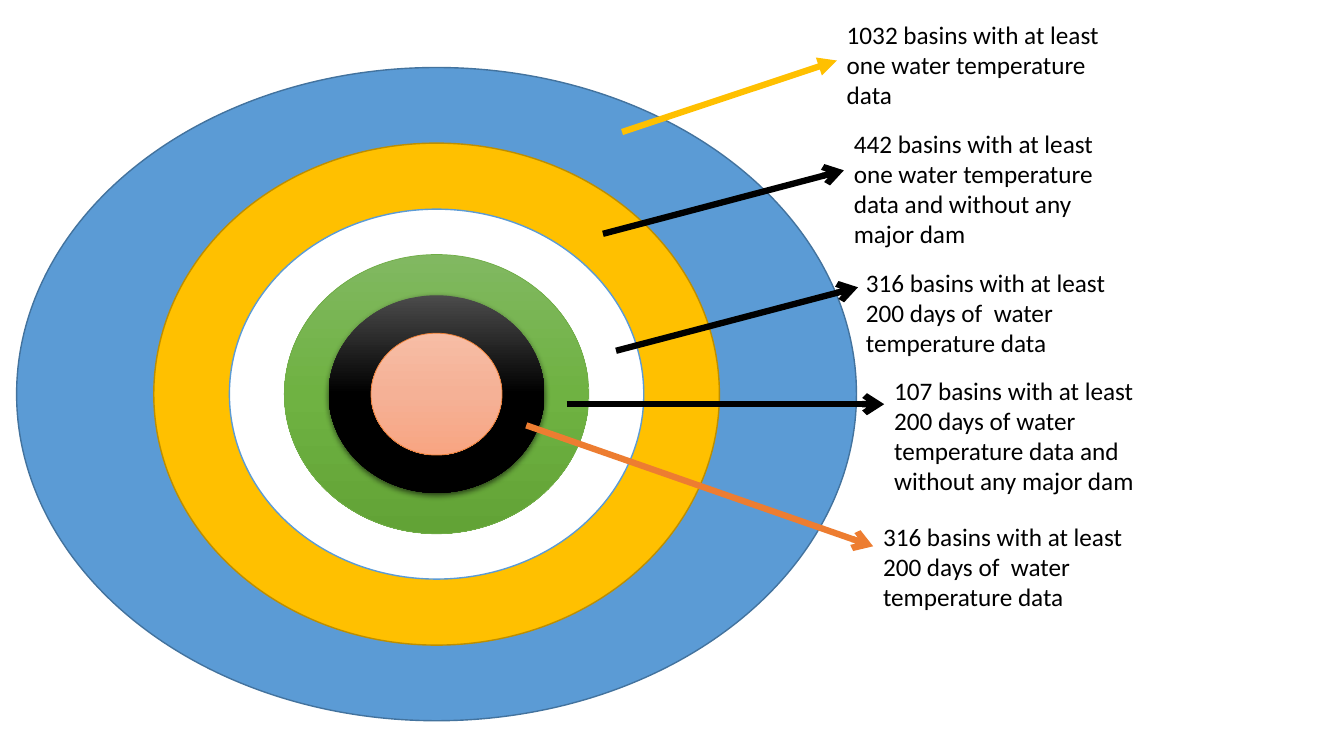
from copy import deepcopy
from dataclasses import dataclass

from lxml.etree import SubElement
from pptx import Presentation
from pptx.dml.color import RGBColor
from pptx.enum.shapes import MSO_CONNECTOR as CONNECTOR, MSO_SHAPE as SHAPE
from pptx.enum.text import MSO_AUTO_SIZE as AUTO_SIZE
from pptx.oxml.ns import qn
from pptx.util import Inches, Pt


@dataclass(frozen=True)
class Theme:
    font: str = "Calibri"
    label_size: int = 18
    arrow_width: float = 4.5
    black: str = "000000"
    white: str = "FFFFFF"
    blue: str = "5B9BD5"
    dark_blue: str = "43739E"
    gold: str = "FFC000"
    dark_gold: str = "BD8E00"
    green: str = "70AD47"
    orange: str = "ED7D31"
    green_fade: tuple = ("81B861", "6FB242", "62A336")
    black_fade: tuple = ("4B4B4B", "000000", "000000")
    peach_fade: tuple = ("F7BDA5", "F5B196", "F8A582")


T = Theme()
rgb = RGBColor.from_string


def fade(shape, colours):
    """Fill a shape from top to bottom with evenly spaced colours."""
    shape.fill.gradient()
    shape.fill.gradient_angle = 270
    stop_list = shape._element.spPr.find(".//" + qn("a:gsLst"))
    stop_list.insert(1, deepcopy(stop_list[0]))
    for i, (stop, colour) in enumerate(zip(shape.fill.gradient_stops, colours)):
        stop.position = i / (len(colours) - 1)
        stop.color.rgb = rgb(colour)


prs = Presentation()
prs.slide_width, prs.slide_height = Inches(13.33), Inches(7.5)
s = prs.slides.add_slide(prs.slide_layouts[6])

# Concentric ellipses: width, height, fill, line colour, line width
CENTRE_X, CENTRE_Y = 4.33, 3.91
rings = [
    (8.33, 6.48, T.blue, T.dark_blue, 1),
    (5.61, 4.98, T.gold, T.dark_gold, 1),
    (4.11, 3.67, T.white, T.blue, 1),
    (3.02, 2.77, T.green_fade, T.green, 0.5),
    (2.14, 1.96, T.black_fade, None, 0),
    (1.30, 1.21, T.peach_fade, T.orange, 0.5),
]
group = s.shapes.add_group_shape()
for width, height, fill, line, line_width in rings:
    ring = group.shapes.add_shape(
        SHAPE.OVAL, Inches(CENTRE_X - width / 2), Inches(CENTRE_Y - height / 2),
        Inches(width), Inches(height))
    ring.shadow.inherit = False
    if isinstance(fill, tuple):
        fade(ring, fill)
    else:
        ring.fill.solid()
        ring.fill.fore_color.rgb = rgb(fill)
    if line:
        ring.line.color.rgb = rgb(line)
        ring.line.width = Pt(line_width)
    else:
        # The black ring has a soft shadow in place of an outline
        ring.line.fill.background()
        effects = ring._element.spPr.find(qn("a:effectLst"))
        shadow = SubElement(effects, qn("a:outerShdw"), blurRad=str(Pt(4.5)),
                            dist=str(Pt(1.5)), dir="5400000", algn="ctr", rotWithShape="0")
        colour = SubElement(shadow, qn("a:srgbClr"), val=T.black)
        SubElement(colour, qn("a:alpha"), val="63000")

# Arrows and labels: from, to, colour, head, label corner, label height, text
callouts = [
    ((6.17, 1.31), (8.30, 0.60), T.gold, "triangle", (8.30, 0.14), 1.01,
     "1032 basins with at least one water temperature data"),
    ((5.98, 2.32), (8.37, 1.69), T.black, "arrow", (8.37, 1.22), 1.31,
     "442 basins with at least one water temperature data and without any major dam"),
    ((6.11, 3.48), (8.51, 2.85), T.black, "arrow", (8.49, 2.60), 1.01,
     "316 basins with at least 200 days of  water temperature data"),
    ((5.62, 4.01), (8.77, 4.01), T.black, "arrow", (8.77, 3.67), 1.31,
     "107 basins with at least 200 days of water temperature data and without any major dam"),
    ((5.22, 4.22), (8.66, 5.42), T.orange, "arrow", (8.66, 5.12), 1.01,
     "316 basins with at least 200 days of  water temperature data"),
]
for start, end, colour, head, corner, height, text in callouts:
    arrow = s.shapes.add_connector(CONNECTOR.STRAIGHT, *map(Inches, start + end))
    arrow.line.color.rgb = rgb(colour)
    arrow.line.width = Pt(T.arrow_width)
    SubElement(arrow.line._get_or_add_ln(), qn("a:tailEnd"), type=head)
    SubElement(arrow._element.spPr, qn("a:effectLst"))

    label = s.shapes.add_textbox(*map(Inches, corner), Inches(2.97), Inches(height))
    tf = label.text_frame
    tf.word_wrap = True
    tf.auto_size = AUTO_SIZE.SHAPE_TO_FIT_TEXT
    tf.text = text
    font = tf.paragraphs[0].runs[0].font
    font.name, font.size = T.font, Pt(T.label_size)
    font.color.rgb = rgb(T.black)

prs.save("out.pptx")
